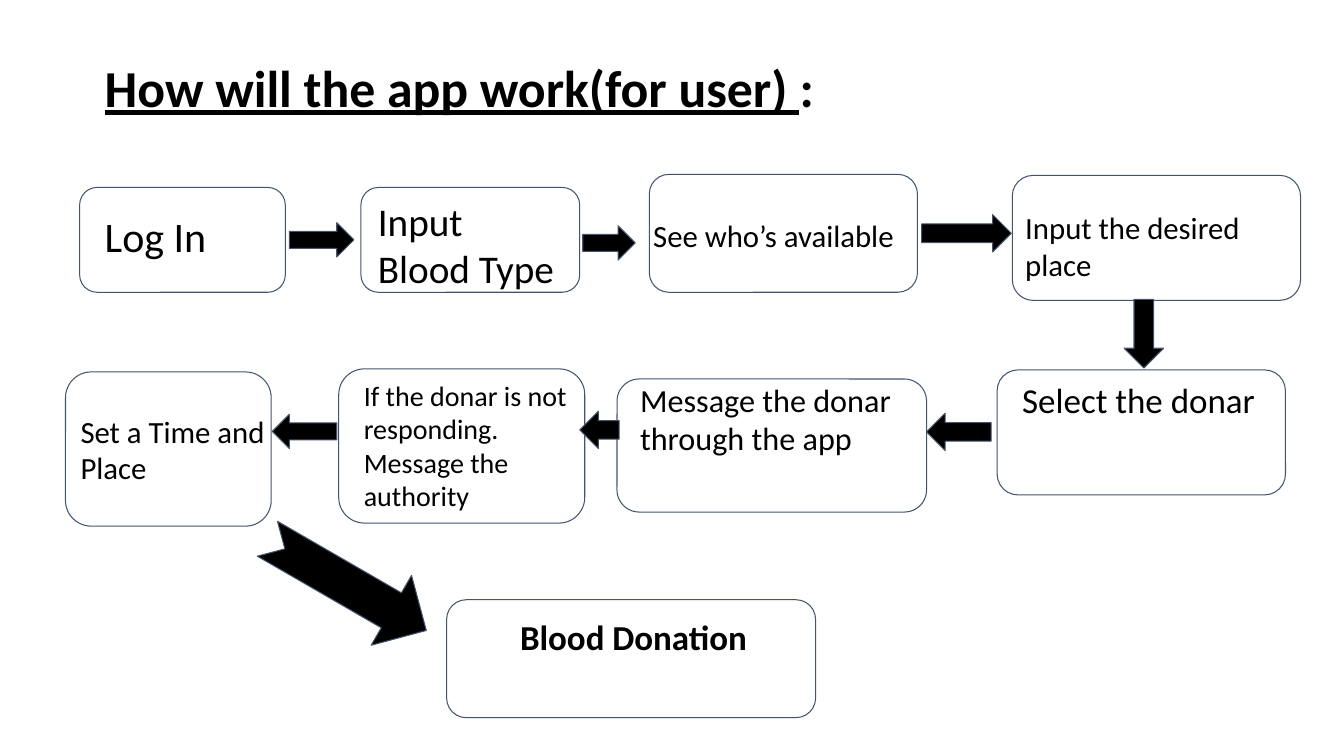
from pptx import Presentation
from pptx.dml.color import RGBColor
from pptx.enum.shapes import MSO_SHAPE
from pptx.enum.text import MSO_ANCHOR, PP_ALIGN
from pptx.util import Inches, Pt

BLACK = "000000"
OUTLINE = "44546A"

TITLE = [("How will the app work(for user) ", True), (":", False)]

LABELS = [
    (0.94, 1.99, 1.74, 1.03, 30, ["Log In"]),
    (3.65, 1.86, 2.0, 0.68, 28, ["Input Blood Type"]),
    (6.38, 2.05, 2.78, 0.9, 22, ["See who’s available"]),
    (10.07, 1.97, 2.78, 1.04, 22, ["Input the desired", "place"]),
    (10.04, 3.66, 2.54, 0.68, 25, ["Select the donar"]),
    (6.25, 3.67, 2.78, 0.9, 23, ["Message the donar through the app"]),
    (3.51, 3.65, 2.44, 0.91, 20,
     ["If the donar is not responding.", "Message the authority"]),
    (0.7, 3.99, 2.32, 0.94, 22, ["Set a Time and Place"]),
]

STEPS = [
    (0.79, 1.86, 2.04, 1.04),
    (3.58, 1.86, 2.17, 1.04),
    (10.04, 1.74, 2.86, 1.24),
    (6.44, 1.73, 2.66, 1.17),
    (9.89, 3.67, 2.86, 1.24),
    (6.12, 3.76, 3.07, 1.32),
    (3.36, 3.66, 2.44, 1.53),
    (0.65, 3.69, 2.04, 1.53),
    (4.43, 5.95, 3.66, 1.17),
]

ARROWS = [
    (MSO_SHAPE.RIGHT_ARROW, 2.87, 2.21, 0.64, 0.34),
    (MSO_SHAPE.RIGHT_ARROW, 5.78, 2.24, 0.52, 0.34),
    (MSO_SHAPE.RIGHT_ARROW, 9.14, 2.13, 0.89, 0.37),
    (MSO_SHAPE.DOWN_ARROW, 11.15, 2.97, 0.39, 0.68),
    (MSO_SHAPE.LEFT_ARROW, 9.19, 4.1, 0.64, 0.37),
    (MSO_SHAPE.LEFT_ARROW, 5.75, 4.08, 0.39, 0.37),
    (MSO_SHAPE.LEFT_ARROW, 2.7, 4.11, 0.64, 0.34),
]


def color(value):
    return RGBColor.from_string(value)


def add_text(page, left, top, width, height, size, paragraphs, bold=False):
    box = page.shapes.add_textbox(
        Inches(left), Inches(top), Inches(width), Inches(height))
    frame = box.text_frame
    frame.word_wrap = True
    frame.vertical_anchor = MSO_ANCHOR.TOP
    frame.margin_left = frame.margin_right = Inches(0.1)
    frame.margin_top = frame.margin_bottom = Inches(0.1)
    for index, runs in enumerate(paragraphs):
        para = frame.add_paragraph() if index else frame.paragraphs[0]
        para.alignment = PP_ALIGN.LEFT
        for text, underline in runs:
            span = para.add_run()
            span.text = text
            span.font.name = "Calibri"
            span.font.size = Pt(size)
            span.font.bold = bold
            span.font.underline = underline
            span.font.color.rgb = color(BLACK)


def add_outlined(page, kind, left, top, width, height, fill=None):
    shape = page.shapes.add_shape(
        kind, Inches(left), Inches(top), Inches(width), Inches(height))
    shape.shadow.inherit = False
    if fill:
        shape.fill.solid()
        shape.fill.fore_color.rgb = color(fill)
    else:
        shape.fill.background()
    shape.line.color.rgb = color(OUTLINE)
    shape.line.width = Pt(0.75)
    return shape


def main():
    deck = Presentation()
    deck.slide_width = Inches(13.33)
    deck.slide_height = Inches(7.5)
    page = deck.slides.add_slide(deck.slide_layouts[6])

    add_text(page, 0.94, 0.45, 11.53, 1.24, 37, [TITLE], bold=True)
    for left, top, width, height, size, lines in LABELS:
        paragraphs = [[(line, False)] for line in lines]
        add_text(page, left, top, width, height, size, paragraphs)
    add_text(page, 5.06, 6.01, 2.57, 0.68, 25,
             [[("Blood Donation", False)]], bold=True)

    for bounds in STEPS:
        add_outlined(page, MSO_SHAPE.ROUNDED_RECTANGLE, *bounds)
    for kind, *bounds in ARROWS:
        add_outlined(page, kind, *bounds, fill=BLACK)
    final_arrow = add_outlined(page, MSO_SHAPE.NOTCHED_RIGHT_ARROW,
                               2.53, 5.4, 1.82, 0.8, fill=BLACK)
    final_arrow.rotation = 30

    deck.save("out.pptx")


if __name__ == "__main__":
    main()
